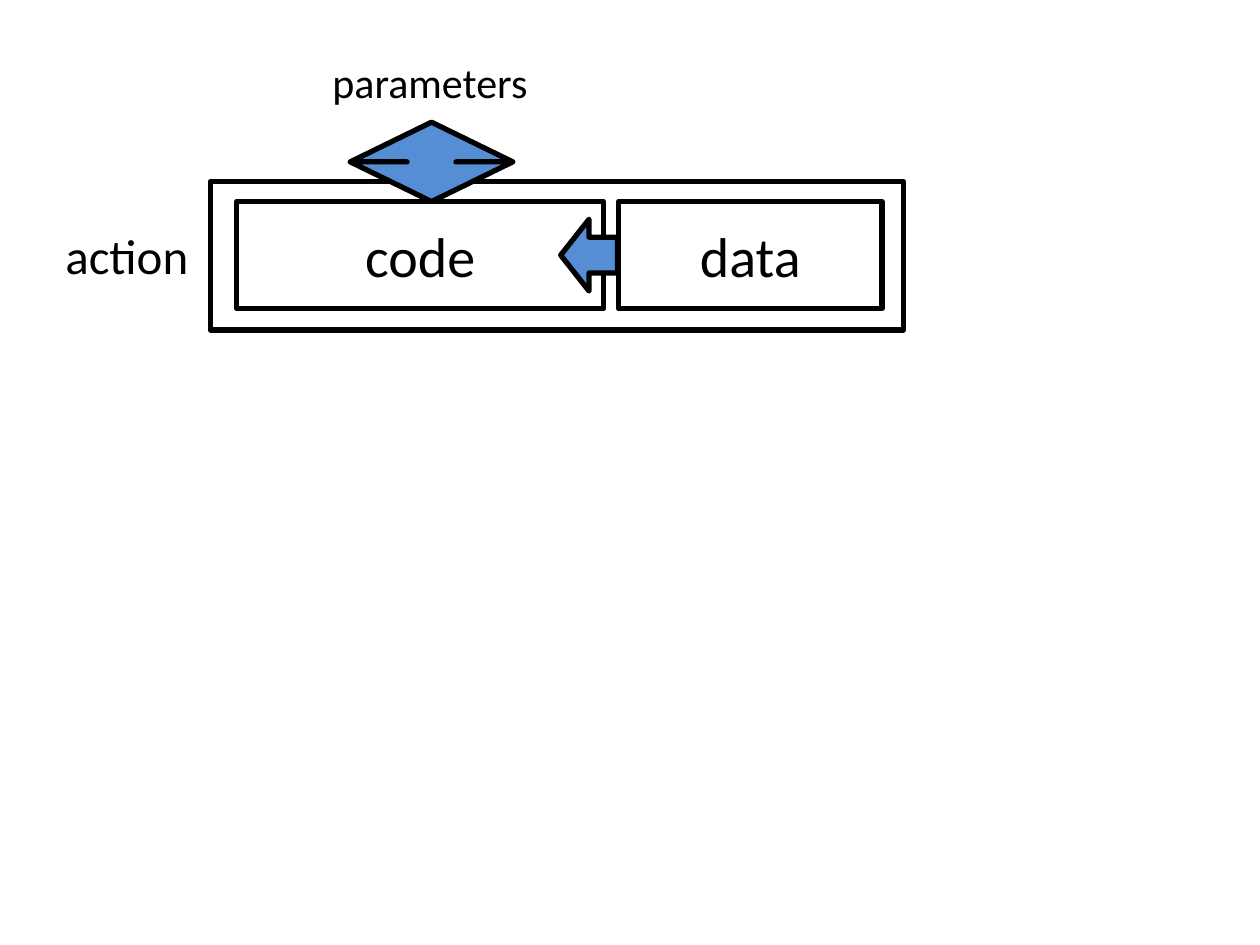
from dataclasses import dataclass

from pptx import Presentation
from pptx import util as u
from pptx.dml.color import RGBColor
from pptx.enum import shapes, text
from pptx.shapes.autoshape import Shape
from pptx.slide import Slide

KIND = shapes.MSO_SHAPE


@dataclass(frozen=True)
class Theme:
    ink: RGBColor = RGBColor(0x00, 0x00, 0x00)
    arrow: RGBColor = RGBColor(0x55, 0x8E, 0xD5)
    font: str = "Calibri"
    outline: float = 3
    part_size: float = 32
    action_size: float = 28
    parameter_size: float = 24


@dataclass(frozen=True)
class Frame:
    left: float
    top: float
    width: float
    height: float

    def lengths(self) -> list[u.Length]:
        return [u.Pt(side) for side in (self.left, self.top, self.width, self.height)]


@dataclass(frozen=True)
class Block:
    kind: KIND
    frame: Frame
    caption: str = ""
    fill: RGBColor | None = None
    adjustments: tuple[float, ...] = ()


@dataclass(frozen=True)
class Label:
    caption: str
    frame: Frame
    size: float


THEME = Theme()
PART_TOP, PART_HEIGHT = 115.2, 61.2
SIDE_TOP, SIDE_HEIGHT = 125.28, 41.04

BOXES = (
    Block(KIND.RECTANGLE, Frame(120.24, 103.68, 396, 84.96)),
    Block(KIND.RECTANGLE, Frame(135.36, PART_TOP, 209.52, PART_HEIGHT), "code"),
    Block(KIND.RECTANGLE, Frame(353.52, PART_TOP, 150.48, PART_HEIGHT), "data"),
)
LABELS = (
    Label("action", Frame(30.24, SIDE_TOP, 85.68, SIDE_HEIGHT), THEME.action_size),
    Label("parameters", Frame(182.88, 28.8, 127.44, 36), THEME.parameter_size),
)
ARROWS = (
    Block(KIND.UP_DOWN_ARROW, Frame(200.16, 69.84, 92.88, 45.36),
          fill=THEME.arrow, adjustments=(0.479, 0.3)),
    Block(KIND.LEFT_ARROW, Frame(320.4, SIDE_TOP, 32.4, SIDE_HEIGHT), fill=THEME.arrow),
)


def write(box: Shape, caption: str, size: float, align: text.PP_ALIGN) -> None:
    box.text_frame.word_wrap = False
    para = box.text_frame.paragraphs[0]
    para.alignment = align
    span = para.add_run()
    span.text = caption
    formats = {"name": THEME.font, "size": u.Pt(size)}
    for name, value in formats.items():
        setattr(span.font, name, value)
    span.font.color.rgb = THEME.ink


def draw_block(page: Slide, block: Block) -> None:
    box = page.shapes.add_shape(block.kind, *block.frame.lengths())
    box.shadow.inherit = False
    box.line.color.rgb = THEME.ink
    box.line.width = u.Pt(THEME.outline)
    if block.fill is None:
        box.fill.background()
    else:
        box.fill.solid()
        box.fill.fore_color.rgb = block.fill
    for index, value in enumerate(block.adjustments):
        box.adjustments[index] = value
    if block.caption:
        box.text_frame.vertical_anchor = text.MSO_ANCHOR.MIDDLE
        write(box, block.caption, THEME.part_size, text.PP_ALIGN.CENTER)


def draw_label(page: Slide, label: Label) -> None:
    box = page.shapes.add_textbox(*label.frame.lengths())
    box.text_frame.auto_size = text.MSO_AUTO_SIZE.SHAPE_TO_FIT_TEXT
    write(box, label.caption, label.size, text.PP_ALIGN.LEFT)


def main() -> None:
    deck = Presentation()
    deck.slide_width, deck.slide_height = u.Pt(720), u.Pt(540)
    page = deck.slides.add_slide(deck.slide_layouts[6])
    for block in BOXES:
        draw_block(page, block)
    for label in LABELS:
        draw_label(page, label)
    for arrow in ARROWS:
        draw_block(page, arrow)
    deck.save("out.pptx")


if __name__ == "__main__":
    main()
